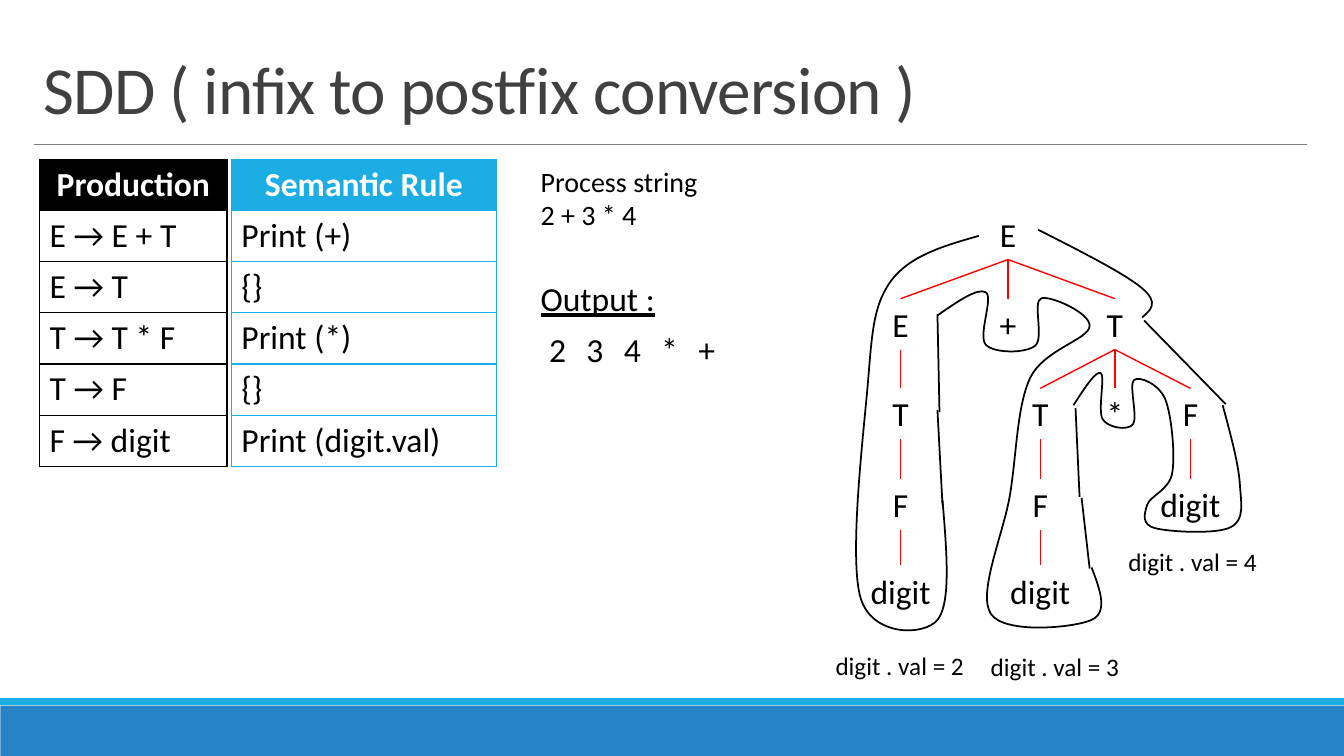
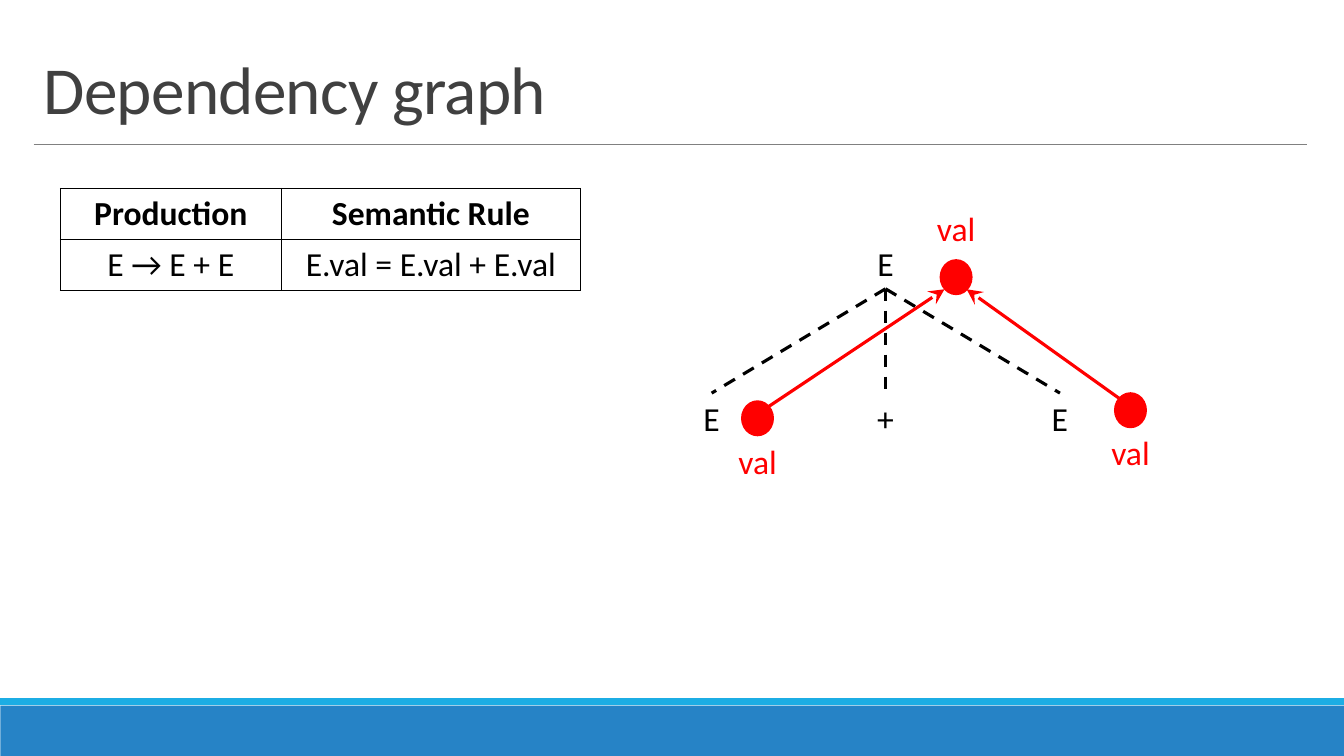
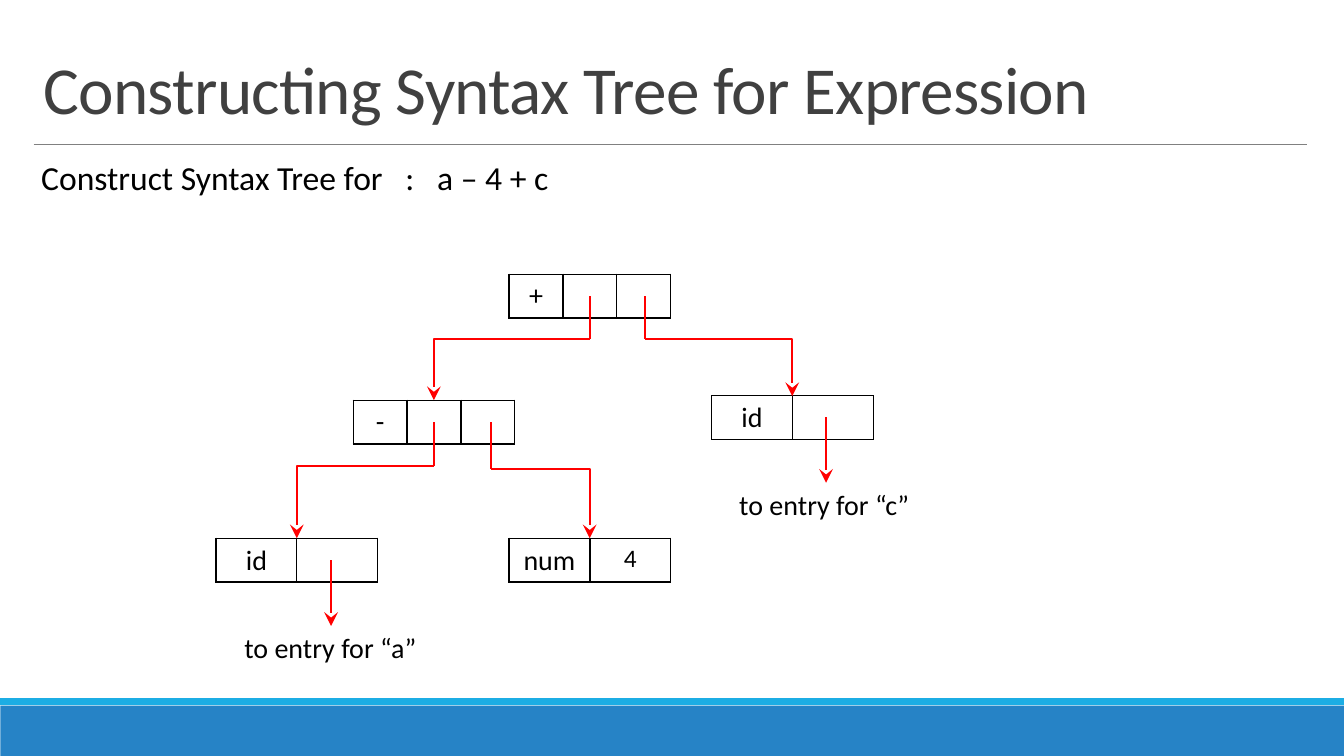
from dataclasses import dataclass
from itertools import product
from typing import Any, NamedTuple, Optional

from lxml.etree import SubElement
from pptx import Presentation
from pptx.dml.color import RGBColor
from pptx.enum.dml import MSO_LINE
from pptx.enum.shapes import MSO_CONNECTOR, MSO_SHAPE
from pptx.enum.text import MSO_ANCHOR, MSO_AUTO_SIZE, PP_ALIGN
from pptx.oxml.ns import qn
from pptx.util import Emu, Inches, Pt

# The grid has square cells of a tenth of an inch.
WIDE, HIGH = 133.33, 75
BLACK, WHITE, RED = "000000", "FFFFFF", "FF0000"
BLUE, CYAN, GREY, DARK = "2683C6", "1CADE4", "808080", "404040"
LEFT, MID = PP_ALIGN.LEFT, PP_ALIGN.CENTER
Point = tuple[float, float]


@dataclass
class Label:
    text: str
    x: float
    y: float
    w: float
    h: float = 5.05
    size: float = 24
    ink: str = BLACK
    align: Any = MID
    wrap: bool = True
    line: bool = False


@dataclass
class Sheet:
    x: float
    y: float
    cols: list[float]
    rows: list[list[str]]
    tall: float = 5.08
    size: float = 24
    edge: str = BLACK
    head: Optional[str] = None
    ink: str = BLACK
    bold: bool = True
    align: Any = MID
    small: tuple[str, ...] = ()


class Stroke(NamedTuple):
    ink: str = RED
    width: float = 1
    dash: Any = None
    tip: bool = False


class Node(NamedTuple):
    text: str
    mid: float
    row: int
    root: Optional[int] = None


class Dot(NamedTuple):
    x: float
    y: float
    drop: float


class Link(NamedTuple):
    x: float
    y: float
    turn: float
    to_x: float
    to_y: float


def cell(count: float) -> Emu:
    """Turn grid cells into a length."""
    return Inches(count / 10)


def hue(code: str) -> RGBColor:
    return RGBColor.from_string(code)


def apply(part: Any, look: dict[str, Any]) -> None:
    for name, value in look.items():
        setattr(part, name, value)


def write(para: Any, text: str, size: float, ink: str, align: Any, **more: Any) -> None:
    para.alignment = align
    para.text = text
    for run in para.runs:
        apply(run.font, {"name": "Calibri", "size": Pt(size), **more})
        run.font.color.rgb = hue(ink)


def label(slide: Any, item: Label) -> Any:
    box = slide.shapes.add_textbox(*map(cell, (item.x, item.y, item.w, item.h)))
    apply(box.text_frame, {"word_wrap": item.wrap,
                           "auto_size": MSO_AUTO_SIZE.SHAPE_TO_FIT_TEXT})
    write(box.text_frame.paragraphs[0], item.text, item.size, item.ink, item.align,
          underline=item.line)
    return box


def block(slide: Any, kind: Any, x: float, y: float, w: float, h: float, ink: str) -> Any:
    shape = slide.shapes.add_shape(kind, *map(cell, (x, y, w, h)))
    shape.shadow.inherit = False
    shape.fill.solid()
    shape.fill.fore_color.rgb = hue(ink)
    shape.line.fill.background()
    return shape


def ruled(line: Any, pen: Stroke) -> None:
    line.color.rgb = hue(pen.ink)
    line.width = Pt(pen.width)
    if pen.dash:
        line.dash_style = pen.dash


def join(slide: Any, x: float, y: float, to_x: float, to_y: float, pen: Stroke,
         bent: bool = False) -> Any:
    kind = MSO_CONNECTOR.ELBOW if bent else MSO_CONNECTOR.STRAIGHT
    line = slide.shapes.add_connector(kind, *map(cell, (x, y, to_x, to_y)))
    ruled(line.line, pen)
    props = line._element.spPr
    if bent:
        props.find(qn("a:prstGeom")).set("prst", "bentConnector2")
    if pen.tip:
        SubElement(props.find(qn("a:ln")), qn("a:tailEnd"), type="stealth", w="lg", len="lg")
    SubElement(props, qn("a:effectLst"))
    return line


def spline(knots: list[Point]) -> list[Point]:
    """List two handles and an end for each arc; a handle is a sixth of the chord."""
    pull = [tuple((b - a) / 6 for a, b in zip(*ends)) for ends in zip(knots, knots[2:])]
    outs = [tuple(p + d for p, d in zip(*pair)) for pair in zip(knots[1:], pull)]
    backs = [tuple(p - d for p, d in zip(*pair)) for pair in zip(knots[1:], pull)]
    first = tuple((p + q) / 2 for p, q in zip(knots[0], backs[0]))
    final = tuple((p + q) / 2 for p, q in zip(knots[-1], outs[-1]))
    arcs = zip([first, *outs], [*backs, final], knots[1:])
    return [point for arc in arcs for point in arc]


def reach(points: list[Point], axis: int) -> tuple[float, float]:
    """Find the least and greatest place of a chain of arcs along one axis."""
    line = [point[axis] for point in points]
    spots = []
    for i, k in product(range(0, len(line) - 1, 3), range(21)):
        a, b, c, d = line[i:i + 4]
        t = k / 20
        s = 1 - t
        spots.append(s**3 * a + 3 * s * s * t * b + 3 * s * t * t * c + t**3 * d)
    return min(spots), max(spots)


def soften(shape: Any, points: list[Point]) -> None:
    """Turn each three straight steps into one arc and fit the frame to the arcs."""
    (x, right), (y, low) = reach(points, 0), reach(points, 1)
    shift = {"x": shape.left - cell(x), "y": shape.top - cell(y)}
    trace = next(shape._element.iter(qn("a:path")))
    for spot, (axis, move) in product(list(trace.iter(qn("a:pt"))), shift.items()):
        spot.set(axis, str(int(spot.get(axis)) + move))
    steps = trace.findall(qn("a:lnTo"))
    for arc in zip(steps[::3], steps[1::3], steps[2::3]):
        bend = SubElement(trace, qn("a:cubicBezTo"))
        for step in arc:
            bend.append(step[0])
            trace.remove(step)
    size = {"width": cell(right - x), "height": cell(low - y)}
    for name, value in size.items():
        trace.set(name[0], str(value))
    apply(shape, {"left": cell(x), "top": cell(y), **size})


def curve(slide: Any, knots: list[Point]) -> None:
    """Draw a smooth open line through the knots."""
    arcs = len(knots) > 2
    points = spline(knots) if arcs else knots[1:]
    pen = slide.shapes.build_freeform(*map(cell, knots[0]), scale=1.0)
    pen.add_line_segments([tuple(map(cell, point)) for point in points], close=False)
    shape = pen.convert_to_shape()
    if arcs:
        soften(shape, [knots[0], *points])
    shape.shadow.inherit = False
    shape.fill.background()
    ruled(shape.line, Stroke(BLACK, 1.25))


def border(box: Any, ink: str) -> None:
    props = box._tc.get_or_add_tcPr()
    for side in "LRTB":
        line = SubElement(props, qn(f"a:ln{side}"), w=str(Pt(1)))
        SubElement(SubElement(line, qn("a:solidFill")), qn("a:srgbClr"), val=ink)


def sheet(slide: Any, item: Sheet) -> None:
    count = len(item.rows)
    frame = slide.shapes.add_table(count, len(item.cols), *map(cell, (
        item.x, item.y, sum(item.cols), count * item.tall)))
    table = frame.table
    apply(table, {"first_row": False, "horz_banding": False})
    for col, width in zip(table.columns, item.cols):
        col.width = cell(width)
    for row in table.rows:
        row.height = cell(item.tall)
    for r, c in product(range(count), range(len(item.cols))):
        box, text, top = table.cell(r, c), item.rows[r][c], r == 0
        border(box, item.edge)
        if top and item.head:
            box.fill.solid()
            box.fill.fore_color.rgb = hue(item.head)
        else:
            box.fill.background()
        if text:
            write(box.text_frame.paragraphs[0], text, 18 if text in item.small else item.size,
                  item.ink if top else BLACK, MID if top else item.align,
                  bold=top and item.bold)


def tree(slide: Any, nodes: list[Node], tops: list[float], pen: Stroke) -> None:
    boxes: list[Any] = []
    for node in nodes:
        width = 5.1 if len(node.text) == 1 else 8.6
        y = tops[node.row]
        box = label(slide, Label(node.text, node.mid - width / 2, y, width))
        boxes.append(box)
        if node.root is not None:
            line = join(slide, node.mid, y, node.mid, y, pen)
            line.begin_connect(boxes[node.root], 2)
            line.end_connect(box, 0)


def page(deck: Any, title: str) -> Any:
    """Add a slide with the shared bands, rule and title."""
    slide = deck.slides.add_slide(deck.slide_layouts[6])
    block(slide, MSO_SHAPE.RECTANGLE, 0.03, 70, WIDE - 0.03, 5, BLUE)
    block(slide, MSO_SHAPE.RECTANGLE, 0, 69.27, WIDE, 0.7, CYAN)
    join(slide, 3.35, 14.35, 129.7, 14.35, Stroke(GREY, 0.5))
    box = slide.shapes.add_textbox(*map(cell, (3.33, 3.1, 126.4, 10.1)))
    apply(box.text_frame, {"word_wrap": True, "vertical_anchor": MSO_ANCHOR.BOTTOM})
    para = box.text_frame.paragraphs[0]
    write(para, title, 48, DARK, LEFT)
    para.line_spacing = 0.85
    para.runs[0]._r.get_or_add_rPr().set("spc", "-50")
    return slide


RULES = [("Production", "Semantic Rule"), ("E → E + T", "Print (+)"), ("E → T", "{}"),
         ("T → T * F", "Print (*)"), ("T → F", "{}"), ("F → digit", "Print (digit.val)")]
PARSE = [
    Node("E", 100, 0), Node("E", 89.35, 1, 0), Node("+", 100, 1, 0), Node("T", 110.6, 1, 0),
    Node("T", 89.35, 2, 1), Node("T", 103.2, 2, 3), Node("*", 110.6, 2, 3),
    Node("F", 118.1, 2, 3), Node("F", 89.35, 3, 4), Node("F", 103.2, 3, 5),
    Node("digit", 118.1, 3, 7), Node("digit", 89.35, 4, 8), Node("digit", 103.2, 4, 9),
]
WALK = [
    [(97.1, 23.4), (88.3, 28), (86, 39.1), (85.4, 59.4), (93, 61.5), (93.5, 49.6)],
    [(93.5, 50.1), (93, 40.7)],
    [(93.2, 40.9), (93, 31.2)],
    [(93, 31.3), (97.8, 29), (97.8, 34.2), (102.7, 34.3), (103.3, 29.6), (108.1, 32.4),
     (102.2, 37.5), (100.2, 49.1), (98.3, 60.9), (108.3, 61.5), (108.3, 56.3)],
    [(108.1, 56.4), (107.3, 49.4)],
    [(107.1, 49.3), (106.7, 40.5)],
    [(106.5, 40.2), (109.2, 37), (109.4, 41.6), (112.4, 42.1), (112.5, 37.7), (115.6, 39.6),
     (116.3, 46.9), (113.8, 50.1), (114.6, 52.4), (122.1, 52.3), (123, 48), (121.3, 40.2)],
    [(121.6, 40.1), (113.5, 31.8)],
    [(113.3, 31.5), (113.3, 28.6), (103, 22.8)],
]
SUM = [Node("E", 87.85, 0), Node("E", 70.6, 1, 0), Node("+", 87.85, 1, 0),
       Node("E", 105.15, 1, 0)]
DOTS = [Dot(93.3, 25.8, -5.7), Dot(110.6, 39, 3.4), Dot(73.6, 39.8, 3.4)]
FLOWS = [(76.3, 40.3, 93.7, 28.7), (111, 39.5, 95.9, 28.7)]
CELLS = [(21.43, 53.4, ["id", ""]), (50.5, 53.4, ["num", "4"]), (35.03, 39.7, ["-", "", ""]),
         (50.5, 27.2, ["+", "", ""]), (70.6, 39.25, ["id", ""])]
LINKS = [Link(64, 29.4, 33.65, 78.6, 39.3), Link(58.5, 29.4, 33.65, 43.05, 39.7),
         Link(48.7, 41.9, 46.5, 58.5, 53.4), Link(43.05, 41.9, 46.2, 29.45, 53.4)]


def infix(deck: Any) -> None:
    slide = page(deck, "SDD ( infix to postfix conversion )")
    for col, (x, width, ink) in enumerate([(3.93, 18.6, BLACK), (22.95, 26.3, CYAN)]):
        sheet(slide, Sheet(x, 15.8, [width], [[rule[col]] for rule in RULES], edge=ink,
                           head=ink, ink=WHITE, align=LEFT))
    tree(slide, PARSE, [20.7, 29.63, 38.53, 47.5, 56.1], Stroke())
    for knots in WALK:
        curve(slide, knots)
    for i, token in enumerate("234*+"):
        label(slide, Label(token, 53.5 + 3.7 * i, 32.1, 3.7, align=LEFT, wrap=False))
    label(slide, Label("Process string\n2 + 3 * 4", 52.65, 15.8, 17.8, 7.7, 20,
                       align=LEFT, wrap=False))
    label(slide, Label("Output :", 52.65, 27.1, 13.4, align=LEFT, wrap=False, line=True))
    for value, x, y in [(2, 81.9, 64), (3, 97.3, 64.1), (4, 110.95, 53.7)]:
        label(slide, Label(f"digit . val = {value}", x, y, 14.9, 4, 18,
                           align=LEFT, wrap=False))


def graph(deck: Any) -> None:
    slide = page(deck, "Dependency graph")
    sheet(slide, Sheet(6, 18.7, [21.9, 29.7], [["Production", "Semantic Rule"],
                                               ["E → E + E", "E.val = E.val + E.val"]]))
    tree(slide, SUM, [23.6, 39], Stroke(BLACK, 2.25, MSO_LINE.DASH))
    for flow in FLOWS:
        join(slide, *flow, Stroke(RED, 2.25, tip=True))
    for dot in DOTS:
        label(slide, Label("val", dot.x - 1.7, dot.y + dot.drop, 6.5, ink=RED))
        shape = block(slide, MSO_SHAPE.OVAL, dot.x, dot.y, 3.1, 3.4, RED)
        ruled(shape.line, Stroke(RED, 1.25))


def syntax(deck: Any) -> None:
    slide = page(deck, "Constructing Syntax Tree for Expression")
    label(slide, Label("Construct Syntax Tree for   :   a – 4 + c", 3.1, 15.1, 52.8,
                       align=LEFT, wrap=False))
    for x, y, texts in CELLS:
        sheet(slide, Sheet(x, y, [16.05 / len(texts)] * len(texts), [texts], 4.33, 20,
                           bold=False, small=("4",)))
    plain, arrow = Stroke(RED, 1.5), Stroke(RED, 1.5, tip=True)
    for name, x, y in [("a", 23.25, 62.1), ("c", 72.35, 47.9)]:
        box = label(slide, Label(f"to entry for “{name}”", x, y, 19.2, 4.4, 20,
                                 align=LEFT, wrap=False))
        line = join(slide, x + 9.6, y - 6.5, x + 9.6, y, arrow)
        line.end_connect(box, 0)
    for link in LINKS:
        join(slide, link.x, link.y, link.x, link.turn, plain)
        join(slide, link.x, link.turn, link.to_x, link.to_y, arrow, bent=True)


def main() -> None:
    deck = Presentation()
    apply(deck, {"slide_width": cell(WIDE), "slide_height": cell(HIGH)})
    for build in (infix, graph, syntax):
        build(deck)
    deck.save("out.pptx")


if __name__ == "__main__":
    main()
